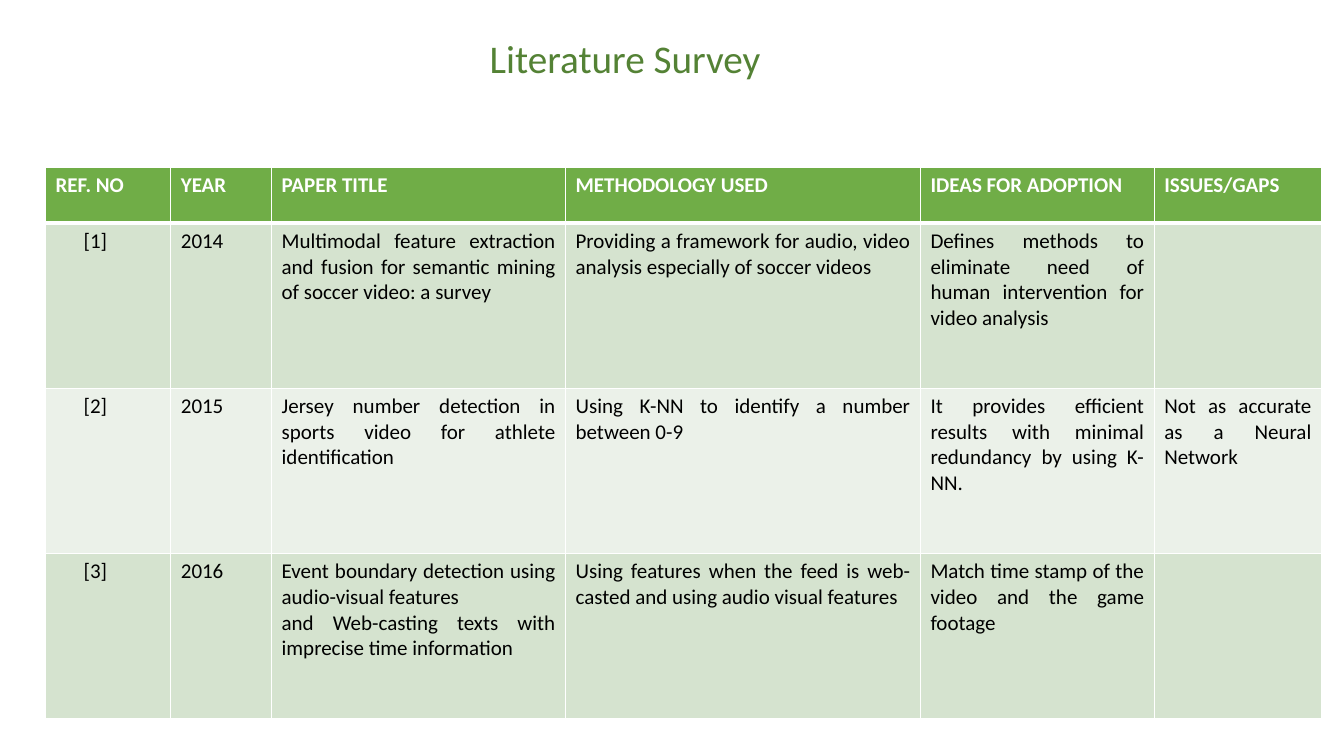
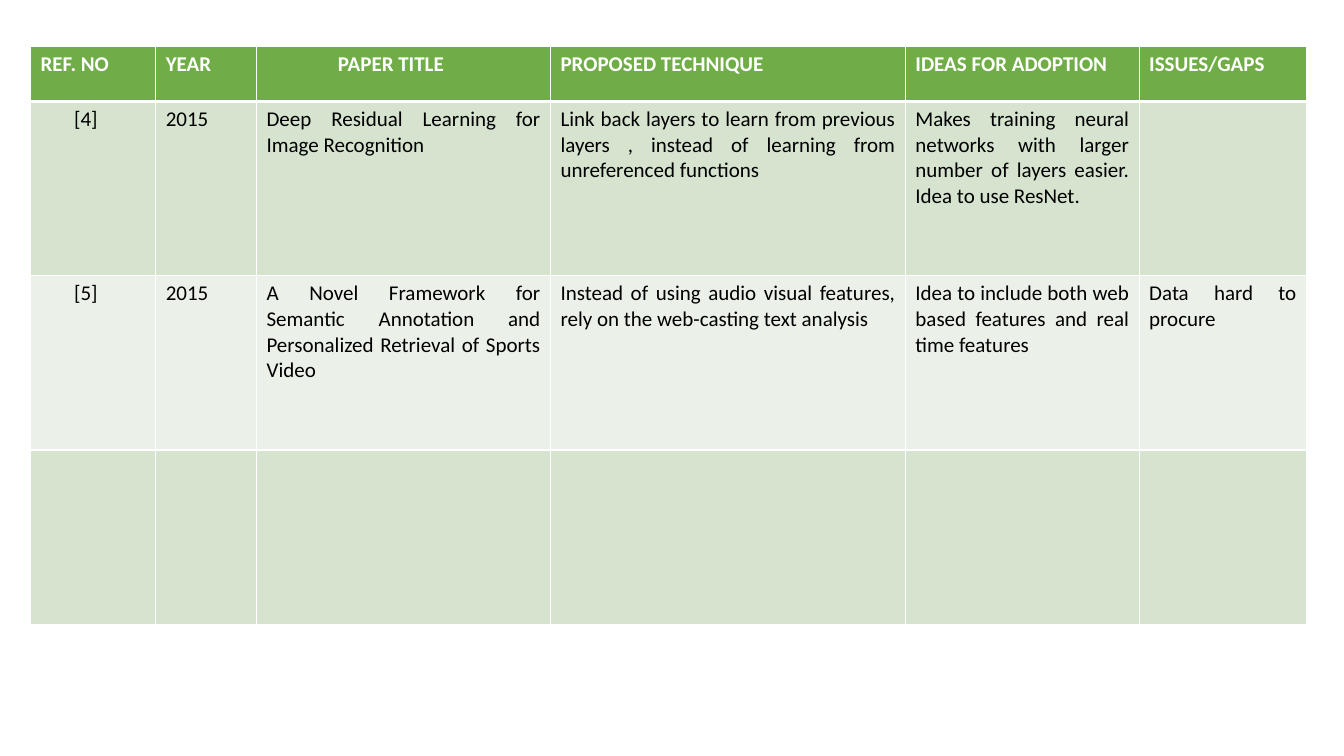
from lxml.etree import SubElement
from pptx import Presentation
from pptx.dml.color import RGBColor
from pptx.enum.text import MSO_ANCHOR, PP_ALIGN
from pptx.oxml.ns import qn
from pptx.util import Pt

FONT = "Calibri"
TITLE_GREEN = "548235"
HEADER_GREEN = "70AD47"
BANDS = ("D5E3CF", "EBF1E9")
WHITE = "FFFFFF"
BLACK = "000000"
TITLE_ONLY, BLANK = 5, 6
COLUMN_WIDTHS = (89.5, 72, 210, 253.5, 167, 119.5)


def color(hex_text):
    return RGBColor.from_string(hex_text)


def write(frame, text, *, size, fill, bold=False, align=PP_ALIGN.JUSTIFY,
          spacing=None, indent=0):
    """Fill a text frame with one paragraph per line of text."""
    frame.word_wrap = True
    for number, line in enumerate(text.split("\n")):
        paragraph = frame.add_paragraph() if number else frame.paragraphs[0]
        paragraph.alignment = align
        if spacing:
            paragraph.line_spacing = spacing
        if indent:
            paragraph._p.get_or_add_pPr().set("marL", str(Pt(indent)))
        run = paragraph.add_run()
        run.text = line
        font = run.font
        font.name, font.size, font.bold = FONT, Pt(size), bold
        font.color.rgb = color(fill)


def set_borders(cell, bottom_width, top_width):
    properties = cell._tc.get_or_add_tcPr()
    for side, width in (("L", 1), ("R", 1), ("T", top_width), ("B", bottom_width)):
        line = SubElement(properties, qn(f"a:ln{side}"), w=str(Pt(width)))
        solid = SubElement(line, qn("a:solidFill"))
        SubElement(solid, qn("a:srgbClr"), val=WHITE)


def add_title(slide, text, left, top, width, height):
    title = slide.shapes.title
    title.left, title.top = Pt(left), Pt(top)
    title.width, title.height = Pt(width), Pt(height)
    title.text_frame.vertical_anchor = MSO_ANCHOR.MIDDLE
    write(title.text_frame, text, size=28, fill=TITLE_GREEN,
          align=PP_ALIGN.CENTER, spacing=0.9)


def add_survey(slide, papers, left, top, header_height, paper_height,
               method_heading, ref_indent, title_indent=0):
    """Draw the table of papers under its header row."""
    headings = ("REF. NO", "YEAR", "PAPER TITLE", method_heading,
                "IDEAS FOR ADOPTION", "ISSUES/GAPS")
    rows = [headings, *papers]
    heights = [header_height] + [paper_height] * len(papers)
    table = slide.shapes.add_table(
        len(rows), len(headings), Pt(left), Pt(top),
        Pt(sum(COLUMN_WIDTHS)), Pt(sum(heights))).table
    for column, width in zip(table.columns, COLUMN_WIDTHS):
        column.width = Pt(width)
    for r, (entries, height) in enumerate(zip(rows, heights)):
        table.rows[r].height = Pt(height)
        is_header = r == 0
        for c, entry in enumerate(entries):
            cell = table.cell(r, c)
            set_borders(cell, bottom_width=3 if is_header else 1,
                        top_width=3 if r == 1 else 1)
            cell.fill.solid()
            cell.fill.fore_color.rgb = color(
                HEADER_GREEN if is_header else BANDS[(r - 1) % 2])
            indent = 0
            if is_header and c == 2:
                indent = title_indent
            elif not is_header and c == 0:
                indent = ref_indent
            if entry:
                write(cell.text_frame, entry, size=15, bold=is_header,
                      fill=WHITE if is_header else BLACK, indent=indent)


EARLIER_PAPERS = [
    ("[1]", "2014",
     "Multimodal feature extraction and fusion for semantic mining of soccer video: a survey",
     "Providing a framework for audio, video analysis especially of soccer videos",
     "Defines methods to eliminate need of human intervention for video analysis", ""),
    ("[2]", "2015",
     "Jersey number detection in sports video for athlete identification",
     "Using K-NN to identify a number between 0-9",
     "It provides efficient results with minimal redundancy by using K-NN.",
     "Not as accurate as a Neural Network"),
    ("[3]", "2016",
     "Event boundary detection using audio-visual features\n"
     "and Web-casting texts with imprecise time information",
     "Using features when the feed is web-casted and using audio visual features",
     "Match time stamp of the video and the game footage", ""),
]

LATER_PAPERS = [
    ("[4]", "2015", "Deep Residual Learning for Image Recognition",
     "Link back layers to learn from previous layers , instead of learning "
     "from unreferenced functions",
     "Makes training neural networks with larger number of layers easier. "
     "Idea to use ResNet.", ""),
    ("[5]", "2015",
     "A Novel Framework for Semantic Annotation and Personalized Retrieval of Sports Video",
     "Instead of using audio visual features, rely on the web-casting text analysis",
     "Idea to include both web based features and real time features",
     "Data hard to procure"),
    ("",) * len(COLUMN_WIDTHS),
]


def main():
    deck = Presentation()
    deck.slide_width, deck.slide_height = Pt(960), Pt(540)

    first = deck.slides.add_slide(deck.slide_layouts[TITLE_ONLY])
    add_title(first, "Literature Survey", 32.5, 18.5, 828, 50)
    add_survey(first, EARLIER_PAPERS, 32.5, 119.5, 40, 118,
               "METHODOLOGY USED", ref_indent=20)

    second = deck.slides.add_slide(deck.slide_layouts[BLANK])
    add_survey(second, LATER_PAPERS, 21.75, 33, 39.5, 124.5,
               "PROPOSED TECHNIQUE", ref_indent=24, title_indent=51)

    deck.save("out.pptx")


if __name__ == "__main__":
    main()
